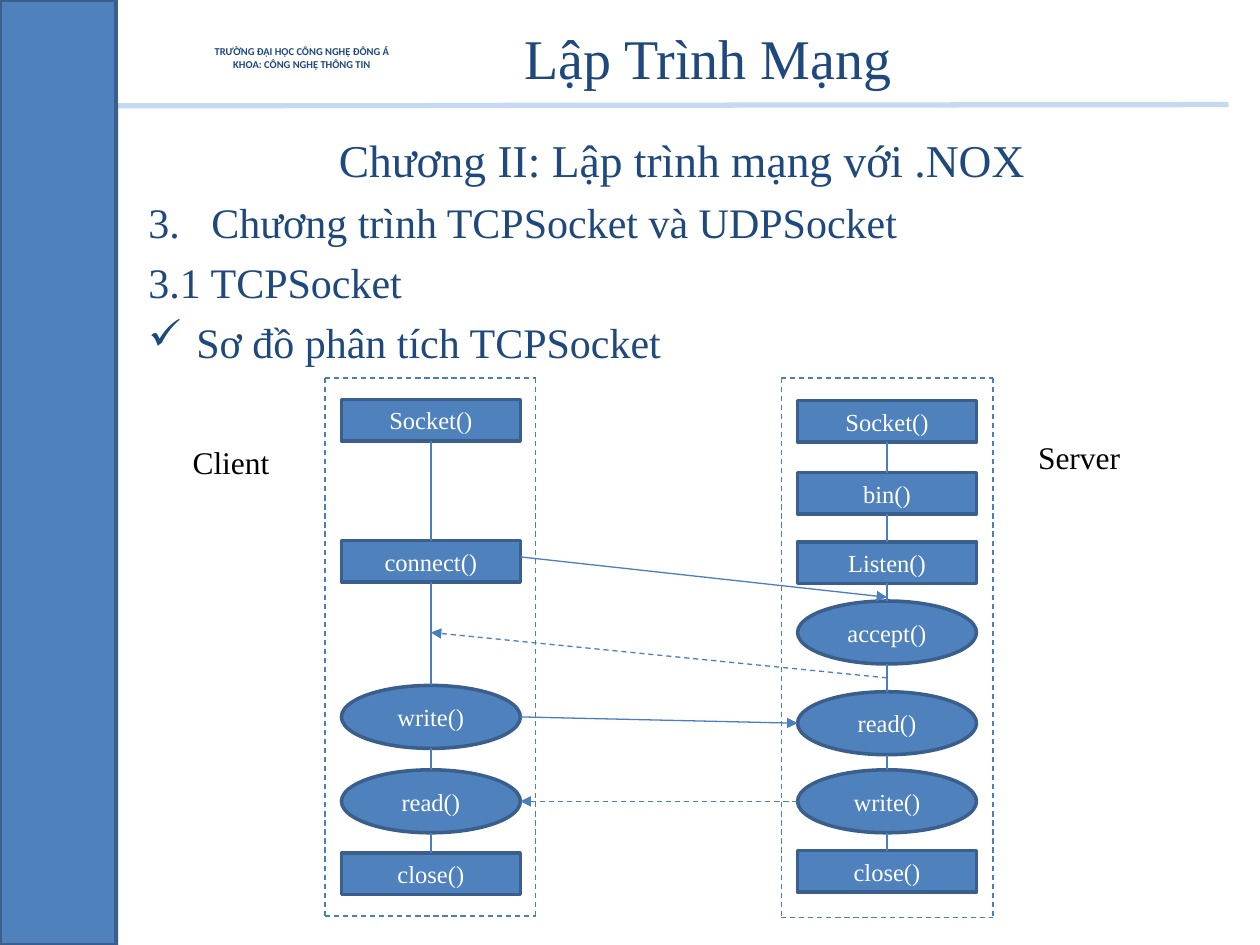
from lxml.etree import SubElement
from pptx import Presentation
from pptx.dml.color import RGBColor
from pptx.enum.dml import MSO_LINE
from pptx.enum.shapes import MSO_CONNECTOR, MSO_SHAPE
from pptx.enum.text import MSO_ANCHOR, MSO_AUTO_SIZE, PP_ALIGN
from pptx.oxml.ns import qn
from pptx.util import Inches, Pt

NAVY = RGBColor(0x1F, 0x49, 0x7D)
BLUE = RGBColor(0x4F, 0x81, 0xBD)
OUTLINE = RGBColor(0x3A, 0x5F, 0x8C)
LINK = RGBColor(0x4B, 0x7E, 0xBC)
EDGE = RGBColor(0x95, 0xB3, 0xD7)
RULE = RGBColor(0x8E, 0xB4, 0xE3)
WHITE = RGBColor(0xFF, 0xFF, 0xFF)
BLACK = RGBColor(0, 0, 0)

STEP_LEFT, STEP_WIDTH = 0.13, 1.42
RECT, OVAL = MSO_SHAPE.RECTANGLE, MSO_SHAPE.OVAL
STEP_HEIGHTS = {RECT: 0.33, OVAL: 0.5}
CLIENT_STEPS = [("Socket()", RECT, 0.17), ("connect()", RECT, 1.29), ("write()", OVAL, 2.44),
                ("read()", OVAL, 3.11), ("close()", RECT, 3.77)]
SERVER_STEPS = [("Socket()", RECT, 0.18), ("bin()", RECT, 0.75), ("Listen()", RECT, 1.3),
                ("accept()", OVAL, 1.77), ("read()", OVAL, 2.49), ("write()", OVAL, 3.11),
                ("close()", RECT, 3.75)]


def write(frame, text, size, color=NAVY, font="Times New Roman", bold=False,
          align=PP_ALIGN.LEFT, before=0):
    """Add one formatted paragraph, filling the first one if it is empty."""
    first = frame.paragraphs[0]
    paragraph = frame.add_paragraph() if first.runs else first
    paragraph.alignment = align
    paragraph.space_before = Pt(before)
    run = paragraph.add_run()
    run.text = text
    run.font.size = Pt(size)
    run.font.name = font
    run.font.bold = bold
    run.font.color.rgb = color
    return paragraph


def hang(paragraph, indent, tag, **attributes):
    """Give a paragraph a hanging bullet or number."""
    properties = paragraph._p.get_or_add_pPr()
    properties.set("marL", str(Inches(indent)))
    properties.set("indent", str(-Inches(indent)))
    SubElement(properties, qn(tag), attributes)


def add_text_area(slide, box, anchor=MSO_ANCHOR.TOP, wrap=True):
    """Add an empty text box and return its frame."""
    frame = slide.shapes.add_textbox(*map(Inches, box)).text_frame
    frame.word_wrap = wrap
    frame.vertical_anchor = anchor
    return frame


def add_line(slide, start, end, color=LINK, width=0.75, dashed=False, arrow=False, alpha=None):
    """Draw a straight connector between two points."""
    connector = slide.shapes.add_connector(
        MSO_CONNECTOR.STRAIGHT, *map(Inches, (*start, *end)))
    connector.line.color.rgb = color
    connector.line.width = Pt(width)
    if dashed:
        connector.line.dash_style = MSO_LINE.DASH
    outline = connector.line._get_or_add_ln()
    if alpha:
        SubElement(outline.find(".//" + qn("a:srgbClr")), qn("a:alpha"), val=str(alpha * 1000))
    if arrow:
        SubElement(outline, qn("a:tailEnd"), type="triangle")
    SubElement(connector._element.spPr, qn("a:effectLst"))


def add_block(slide, kind, box):
    """Add a blue outlined shape."""
    block = slide.shapes.add_shape(kind, *map(Inches, box))
    block.shadow.inherit = False
    block.fill.solid()
    block.fill.fore_color.rgb = BLUE
    block.line.color.rgb = OUTLINE
    block.line.width = Pt(2)
    return block


def add_side_bar(slide, box):
    """Draw the side bar with its edge and the header rule."""
    left, top, width, height = box
    right = left + width
    add_line(slide, (right, top + 0.5), (right, top + height), EDGE, 3, alpha=50)
    add_line(slide, (right, top + 0.84), (right + 8.83, top + 0.83), RULE, 3, alpha=50)
    add_block(slide, RECT, box)


def add_school_table(slide, box):
    """Place the table that names the school and faculty."""
    table = slide.shapes.add_table(1, 2, *map(Inches, box)).table
    table.first_row = table.horz_banding = False
    logo_width = 0.44
    table.columns[0].width = Inches(logo_width)
    table.columns[1].width = Inches(box[2] - logo_width)
    for cell in table.iter_cells():
        properties = cell._tc.get_or_add_tcPr()
        for side, width in (("L", 1), ("R", 1), ("T", 1), ("B", 3)):
            border = SubElement(properties, qn(f"a:ln{side}"), w=str(Pt(width)))
            SubElement(SubElement(border, qn("a:solidFill")), qn("a:srgbClr"), val=str(WHITE))
        cell.fill.solid()
        cell.fill.fore_color.rgb = WHITE
    school = table.cell(0, 1)
    school.vertical_anchor = MSO_ANCHOR.MIDDLE
    school.margin_left = school.margin_right = Inches(0.07)
    school.margin_top = school.margin_bottom = 0
    for name in ("TRƯỜNG ĐẠI HỌC CÔNG NGHỆ ĐÔNG Á", "KHOA: CÔNG NGHỆ THÔNG TIN"):
        write(school.text_frame, name, 6, font="Calibri", bold=True, align=PP_ALIGN.CENTER)


def add_title(slide, box):
    """Place the course title."""
    write(add_text_area(slide, box, MSO_ANCHOR.MIDDLE), "Lập Trình Mạng", 32,
          align=PP_ALIGN.CENTER)


def add_outline(slide, box):
    """Place the chapter heading and its outline."""
    frame = add_text_area(slide, box)
    write(frame, "Chương II: Lập trình mạng với .NOX", 26, align=PP_ALIGN.CENTER, before=6)
    section, _, topic = [
        write(frame, text, 24, align=PP_ALIGN.JUSTIFY, before=5.5)
        for text in ("Chương trình TCPSocket và UDPSocket", "3.1 TCPSocket",
                     "Sơ đồ phân tích TCPSocket")]
    hang(section, 0.5, "a:buAutoNum", type="arabicPeriod", startAt="3")
    hang(topic, 0.38, "a:buChar", char="✓")


def add_lane(slide, box, steps):
    """Draw a dashed lane with its chain of linked steps."""
    left, top, width, height = box
    right, bottom = left + width, top + height
    center = left + STEP_LEFT + STEP_WIDTH / 2
    previous_bottom = None
    for label, kind, offset in steps:
        step_top, step_height = top + offset, STEP_HEIGHTS[kind]
        step = add_block(slide, kind, (left + STEP_LEFT, step_top, STEP_WIDTH, step_height))
        step.text_frame.vertical_anchor = MSO_ANCHOR.MIDDLE
        write(step.text_frame, label, 14, WHITE, align=PP_ALIGN.CENTER)
        if previous_bottom:
            add_line(slide, (center, previous_bottom), (center, step_top))
        previous_bottom = step_top + step_height
    for y in (top, bottom):
        add_line(slide, (left, y), (right, y), dashed=True)
    for x in (left, right):
        add_line(slide, (x, top), (x, bottom), dashed=True)


def add_messages(slide, client_box, server_box):
    """Draw the calls and dashed replies between the two lanes."""
    top = client_box[1]
    client_center = client_box[0] + STEP_LEFT + STEP_WIDTH / 2
    client_edge = client_box[0] + STEP_LEFT + STEP_WIDTH
    server_edge = server_box[0] + STEP_LEFT
    server_center = server_edge + STEP_WIDTH / 2
    for start_x, start_y, end_x, end_y, reply in (
            (client_edge, 1.42, server_center, 1.74, False),
            (server_center, 2.38, client_center, 2.02, True),
            (client_edge, 2.69, server_edge, 2.74, False),
            (server_edge, 3.36, client_edge, 3.36, True)):
        add_line(slide, (start_x, top + start_y), (end_x, top + end_y), dashed=reply, arrow=True)


def add_lane_label(slide, box, label, wrap):
    """Name a lane beside it."""
    frame = add_text_area(slide, box, wrap=wrap)
    frame.auto_size = MSO_AUTO_SIZE.SHAPE_TO_FIT_TEXT
    write(frame, label, 18, BLACK)


def main():
    """Build and save the slide."""
    deck = Presentation()
    deck.slide_width, deck.slide_height = Inches(10), Inches(7.5)
    slide = deck.slides.add_slide(deck.slide_layouts[6])
    client_box, server_box = (2.58, 3, 1.67, 4.27), (6.2, 3, 1.68, 4.28)
    add_title(slide, (3.08, 0.08, 5.08, 0.75))
    add_outline(slide, (1.08, 1, 8.67, 6.33))
    add_side_bar(slide, (0, 0, 0.92, 7.5))
    add_school_table(slide, (0.94, 0.12, 2.47, 0.68))
    add_lane(slide, client_box, CLIENT_STEPS)
    add_lane(slide, server_box, SERVER_STEPS)
    add_messages(slide, client_box, server_box)
    add_lane_label(slide, (1.43, 3.47, 0.94, 0.4), "Client", True)
    add_lane_label(slide, (8.14, 3.43, 0.86, 0.4), "Server", False)
    deck.save("out.pptx")


if __name__ == "__main__":
    main()
